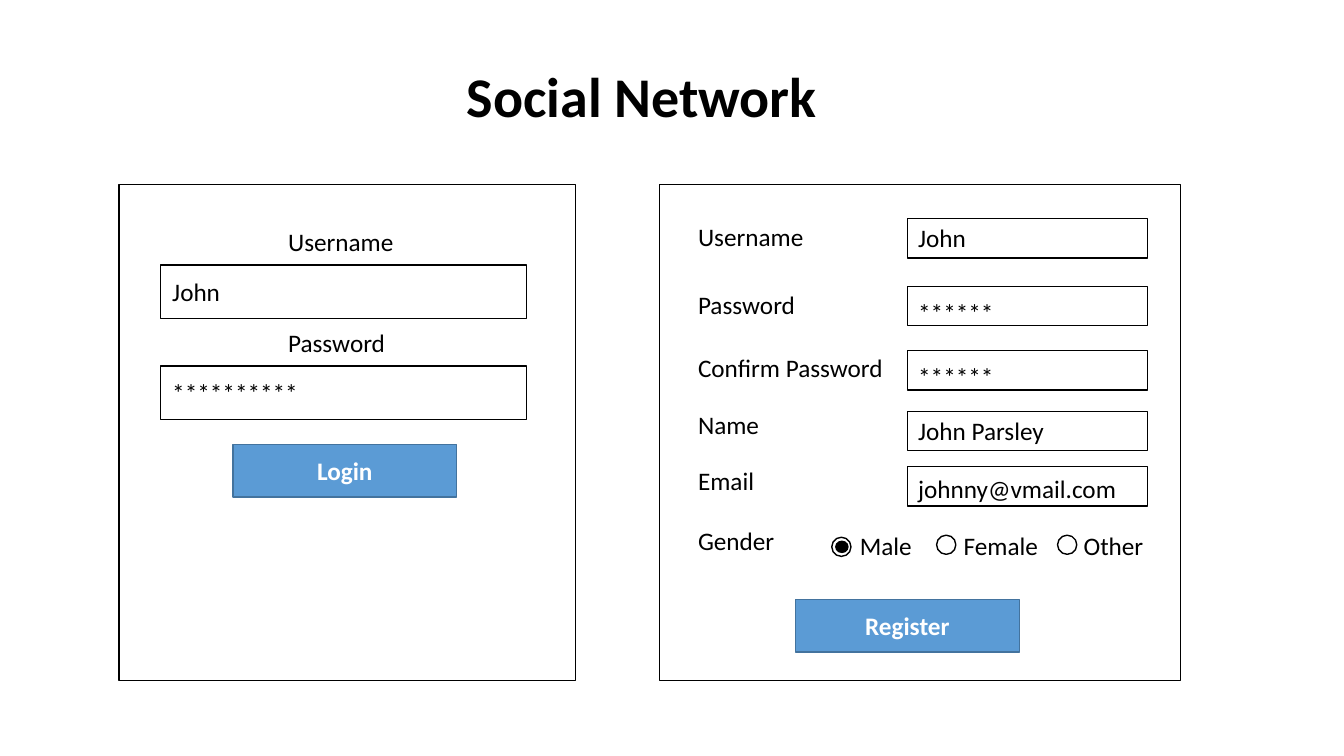
from pptx import Presentation
from pptx.dml.color import RGBColor
from pptx.enum.shapes import MSO_SHAPE as Kind
from pptx.enum.text import MSO_ANCHOR as Anchor, PP_ALIGN as Align
from pptx.util import Inches, Pt

BLACK = RGBColor(0x00, 0x00, 0x00)
WHITE = RGBColor(0xFF, 0xFF, 0xFF)
BLUE = RGBColor(0x5B, 0x9B, 0xD5)
EDGE = RGBColor(0x43, 0x73, 0x9E)

deck = Presentation()
deck.slide_width, deck.slide_height = Inches(13.33), Inches(7.5)
slide = deck.slides.add_slide(deck.slide_layouts[5])

# Grid of 100 columns and 100 rows
COL, ROW = deck.slide_width / 100, deck.slide_height / 100


def draw(kind, x, y, w, h, fill=WHITE, line=BLACK):
    """Add a filled outline; with no kind, add a text box."""
    place = [int(n) for n in (x * COL, y * ROW, w * COL, h * ROW)]
    if kind is None:
        return slide.shapes.add_textbox(*place)
    shape = slide.shapes.add_shape(kind, *place)
    shape.shadow.inherit = False
    if fill is None:
        shape.fill.background()
    else:
        shape.fill.solid()
        shape.fill.fore_color.rgb = fill
    shape.line.color.rgb = line
    shape.line.width = Pt(1)
    return shape


def write(shape, text, size=18, color=BLACK, bold=False,
          align=Align.LEFT, anchor=Anchor.TOP):
    frame = shape.text_frame
    frame.word_wrap = True
    frame.vertical_anchor = anchor
    para = frame.paragraphs[0]
    para.alignment = align
    run = para.add_run()
    run.text = text
    font = run.font
    font.name, font.size, font.bold = "Calibri", Pt(size), bold
    font.color.rgb = color


# Title
title = slide.shapes.title
title.left, title.width = int(17.85 * COL), int(59.79 * COL)
title.top, title.height = int(7.47 * ROW), int(10.27 * ROW)
write(title, "Social Network", 40, bold=True, align=Align.CENTER)

# Panels
for x, w in [(8.85, 33.98), (49.06, 38.78)]:
    draw(Kind.RECTANGLE, x, 24.4, w, 65.6, fill=None)

# Login fields
TALL = 5.33
for i, (label, value) in enumerate([("Username", "John"),
                                    ("Password", "*" * 10)]):
    y = 29.33 + i * 13.33
    write(draw(None, 20.7, y, 19.28, TALL), label)
    draw(Kind.RECTANGLE, 11.93, y + 5.73, 27.23, 7.07)
    write(draw(None, 12.08, y + 6.6, 19.28, TALL), value)

# Register fields: label row, box row, value row
fields = [
    ("Username", "John", 28.67, 28.93, 28.8),
    ("Password", "*" * 6, 37.6, 37.87, 38.67),
    ("Confirm Password", "*" * 6, 46, 46.4, 47.07),
    ("Name", "John Parsley", 53.47, 54.4, 54.27),
    ("Email", "johnny@vmail.com", 60.93, 61.73, 62),
]
for label, value, top, box, base in fields:
    write(draw(None, 51.2, top, 17.7, TALL), label)
    draw(Kind.RECTANGLE, 67.52, box, 17.85, 5.2)
    write(draw(None, 67.58, base, 17.85, TALL), value)

# Gender choices
write(draw(None, 51.2, 68.8, 10, TALL), "Gender")
for name, dot, y, x, w in [("Male", 61.89, 71.07, 63.24, 6.3),
                           ("Female", 69.69, 70.8, 70.97, 7.95),
                           ("Other", 78.69, 70.8, 79.89, 7.95)]:
    draw(Kind.FLOWCHART_CONNECTOR, dot, y, 1.43, 2.53)
    write(draw(None, x, 69.47, w, TALL), name)
draw(Kind.FLOWCHART_CONNECTOR, 62.19, 71.6, 0.9, 1.47, fill=BLACK)

# Buttons
for name, x, y in [("Login", 17.33, 58.8), ("Register", 59.19, 79.33)]:
    button = draw(Kind.RECTANGLE, x, y, 16.65, 6.93, BLUE, EDGE)
    write(button, name, color=WHITE, bold=True,
          align=Align.CENTER, anchor=Anchor.MIDDLE)

deck.save("out.pptx")
